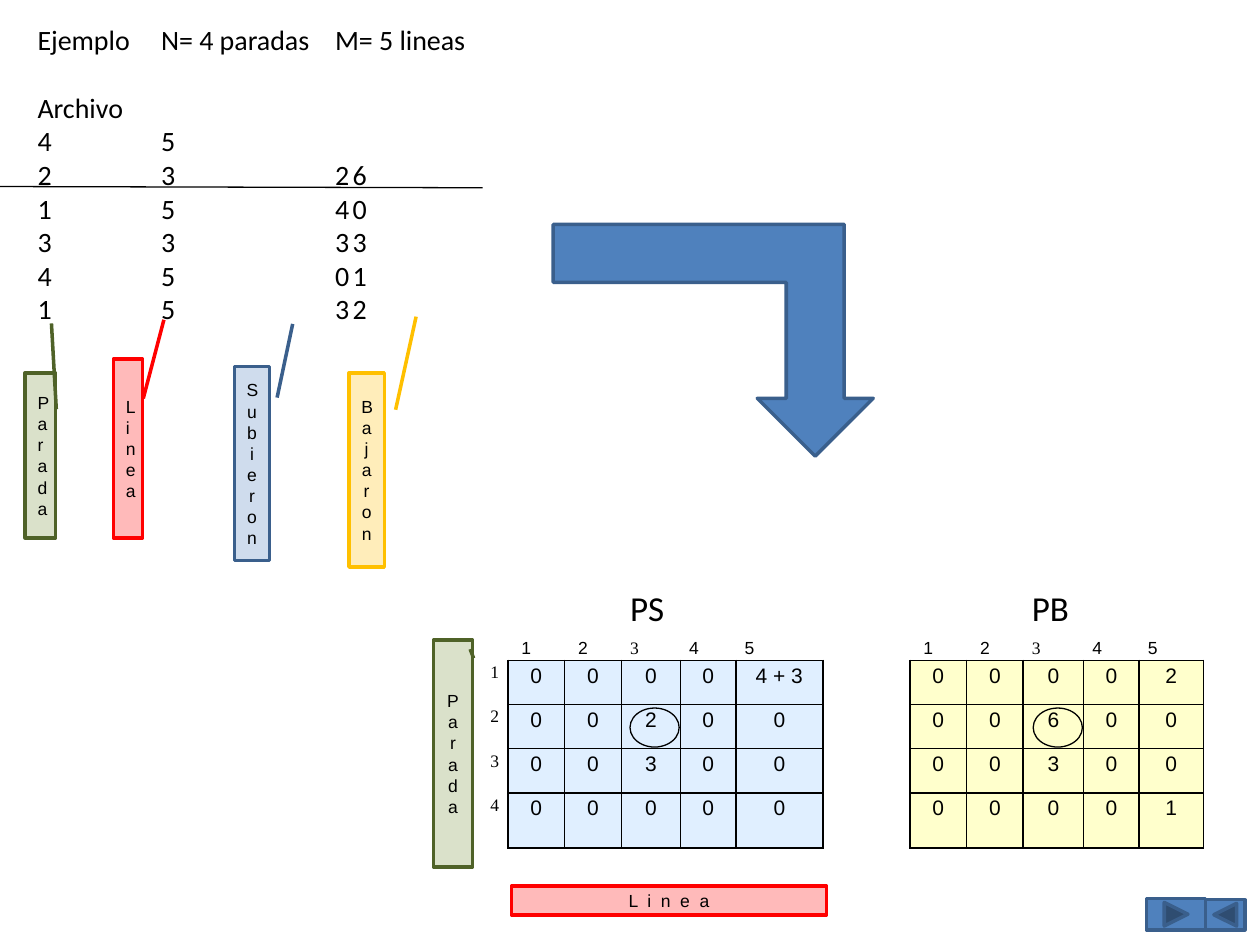
from lxml.etree import SubElement
from pptx import Presentation
from pptx.dml.color import RGBColor
from pptx.enum.shapes import MSO_CONNECTOR, MSO_SHAPE
from pptx.enum.text import MSO_ANCHOR, PP_ALIGN
from pptx.oxml.ns import qn
from pptx.util import Pt

COLORS = {
    "black": "000000", "green": "77933C", "dark_green": "4F6228",
    "red": "FF0000", "blue": "4F81BD", "dark_blue": "3A5F8C",
    "orange": "FFC000", "sky": "99CCFF", "cream": "FFFFCC",
}
NO_STYLE = "{2D5ABB26-0587-4C30-8999-92F81FD0307C}"


class SlideBuilder:
    def __init__(self, s):
        self.s = s

    def color(self, name):
        return RGBColor.from_string(COLORS[name])

    def font(self, p, size, name="Arial"):
        p.font.size = Pt(size)
        p.font.name = name
        p.font.color.rgb = self.color("black")

    def fill(self, target, name, alpha=100):
        target.fill.solid()
        target.fill.fore_color.rgb = self.color(name)
        if alpha < 100:
            clr = target.fill._xPr.find(qn("a:solidFill"))[0]
            SubElement(clr, qn("a:alpha"), val=str(alpha * 1000))

    def shape(self, kind, box, fill, line, width=2, alpha=100):
        sp = self.s.shapes.add_shape(kind, *map(Pt, box))
        sp.shadow.inherit = False
        if fill:
            self.fill(sp, fill, alpha)
        else:
            sp.fill.background()
        sp.line.color.rgb = self.color(line)
        sp.line.width = Pt(width)
        return sp

    def callout(self, text, box, adjustments, fill, line, spacing=0):
        sp = self.shape(MSO_SHAPE.LINE_CALLOUT_1, box, fill, line, alpha=27)
        for i, value in enumerate(adjustments):
            sp.adjustments[i] = value
        tf = sp.text_frame
        tf.word_wrap = True
        tf.vertical_anchor = MSO_ANCHOR.MIDDLE
        p = tf.paragraphs[0]
        p.alignment = PP_ALIGN.CENTER
        r = p.add_run()
        r.text = text
        self.font(p, 10)
        if spacing:
            r.font._element.set("spc", str(spacing))

    def bent_arrow(self, box):
        sp = self.shape(MSO_SHAPE.BENT_UP_ARROW, box, "blue", "dark_blue")
        sp.rotation = 180
        sp._element.spPr.find(qn("a:xfrm")).set("flipH", "1")

    def line(self, *ends):
        cx = self.s.shapes.add_connector(MSO_CONNECTOR.STRAIGHT, *map(Pt, ends))
        cx.line.color.rgb = self.color("black")
        cx.line.width = Pt(0.75)
        SubElement(cx._element.spPr, qn("a:effectLst"))

    def text(self, box, lines, gaps, tabs):
        tf = self.s.shapes.add_textbox(*map(Pt, box)).text_frame
        tf.word_wrap = True
        for i, line in enumerate(lines):
            p = tf.add_paragraph() if i else tf.paragraphs[0]
            r = p.add_run()
            r.text = line
            if i in gaps:
                p.space_before = Pt(gaps[i])
            if i in tabs:
                tab_list = SubElement(p._p.get_or_add_pPr(), qn("a:tabLst"))
                for stop in tabs[i]:
                    SubElement(tab_list, qn("a:tab"), pos=str(Pt(stop)), algn="l")
            self.font(p, 16, "Calibri")

    def table(self, box, widths, heights):
        frame = self.s.shapes.add_table(len(heights), len(widths), *map(Pt, box))
        table = frame.table
        table.first_row = table.horz_banding = False
        table._tbl.tblPr.find(qn("a:tableStyleId")).text = NO_STYLE
        for col, width in zip(table.columns, widths):
            col.width = Pt(width)
        for row, height in zip(table.rows, heights):
            row.height = Pt(height)
        for cell in table.iter_cells():
            cell.margin_left = cell.margin_right = Pt(5)
            cell.margin_top = cell.margin_bottom = 0
            cell.fill.background()
            if cell.text_frame.paragraphs[0]._p.find(qn("a:endParaRPr")) is None:
                SubElement(cell.text_frame.paragraphs[0]._p, qn("a:endParaRPr"), sz="1000")
        return table

    def cell(self, cell, text, size, name="Arial", align=PP_ALIGN.JUSTIFY):
        p = cell.text_frame.paragraphs[0]
        r = p.add_run()
        r.text = text
        p.alignment = align
        p.line_spacing = 1.15
        p.space_after = Pt(10)
        self.font(p, size, name)

    def border(self, cell):
        tcPr = cell._tc.get_or_add_tcPr()
        for i, side in enumerate(("lnL", "lnR", "lnT", "lnB")):
            ln = SubElement(tcPr, qn(f"a:{side}"), w=str(Pt(1)))
            tcPr.insert(i, ln)
            solid = SubElement(ln, qn("a:solidFill"))
            SubElement(solid, qn("a:srgbClr"), val=COLORS["black"])

    def matrix(self, table, left, title, values, fill, alpha=100):
        self.cell(table.cell(0, left + 2), title, 20, "Calibri")
        for j, label in enumerate((" 1", " 2", "3", "4", "5")):
            name = "Times New Roman" if label == "3" else "Arial"
            self.cell(table.cell(1, left + j), label, 10, name)
        for i, row in enumerate(values):
            for j, value in enumerate(row):
                cell = table.cell(i + 2, left + j)
                self.cell(cell, value, 12, align=PP_ALIGN.CENTER)
                self.border(cell)
                self.fill(cell, fill, alpha)


def main():
    prs = Presentation()
    prs.slide_width, prs.slide_height = Pt(720), Pt(540)
    b = SlideBuilder(prs.slides.add_slide(prs.slide_layouts[6]))

    b.callout("Parada", (247.7, 365.8, 22.3, 129.6),
              (0.08, 1.03, 0.04, 0.94), "green", "dark_green")
    b.text((14.4, 9.4, 278.6, 182.2),
           ("Ejemplo\tN= 4 paradas\tM= 5 lineas", "Archivo", "4\t5",
            "2\t3\t2\t6", "1\t5\t4\t0", "3\t3\t3\t3", "4\t5\t0\t1", "1\t5\t3\t2"),
           gaps={1: 19.5}, tabs={0: (70.6, 170)})
    for text, box, adjustments, fill, line in (
        ("Parada", (14.4, 213.1, 17.3, 94.3), (0.22, 1.03, -0.3, 0.87), "green", "dark_green"),
        ("Linea", (64.8, 205.2, 16.6, 102.2), (0.22, 1.03, -0.22, 1.74), "red", "red"),
        ("Subieron", (133.9, 209.5, 20.2, 110.9), (0.16, 1.21, -0.22, 1.65), "blue", "dark_blue"),
        ("Bajaron", (199.4, 213.1, 20.2, 110.9), (0.19, 1.32, -0.29, 1.9), "orange", "orange"),
    ):
        b.callout(text, box, adjustments, fill, line)

    table = b.table((257.8, 332.6, 430.6, 152.6),
                    (32.4, 32.4, 32.4, 33.8, 31.7, 49.7, 49.7, 32.4, 32.4, 34.6, 31.7, 36.7),
                    (31, 13, 25.2, 25.2, 25.2, 31.7))
    for i in range(1, 5):
        b.cell(table.cell(i + 1, 0), str(i), 10, "Times New Roman", PP_ALIGN.RIGHT)
    b.matrix(table, 1, "PS", (("0", "0", "0", "0", "4 + 3"), "00200", "00300", "00000"), "sky", 30)
    b.matrix(table, 7, "PB", ("00002", "00600", "00300", "00001"), "cream")

    b.bent_arrow((316.1, 128.2, 182.9, 132.5))
    b.shape(MSO_SHAPE.ACTION_BUTTON_BACK_OR_PREVIOUS, (689, 514.1, 22.3, 17.3), "blue", "dark_blue")
    b.shape(MSO_SHAPE.ACTION_BUTTON_FORWARD_OR_NEXT, (655.2, 513.4, 33.8, 18), "blue", "dark_blue")
    b.callout("L i n e a", (292.3, 506.2, 180, 16.6), (0.5, 1, 0.5, 1), "red", "red", spacing=139)
    b.line(0, 106.6, 275.8, 107.3)
    for x in (360, 590.4):
        b.shape(MSO_SHAPE.OVAL, (x, 404.6, 28.1, 22.3), None, "black", 0.75)

    prs.save("out.pptx")


if __name__ == "__main__":
    main()
